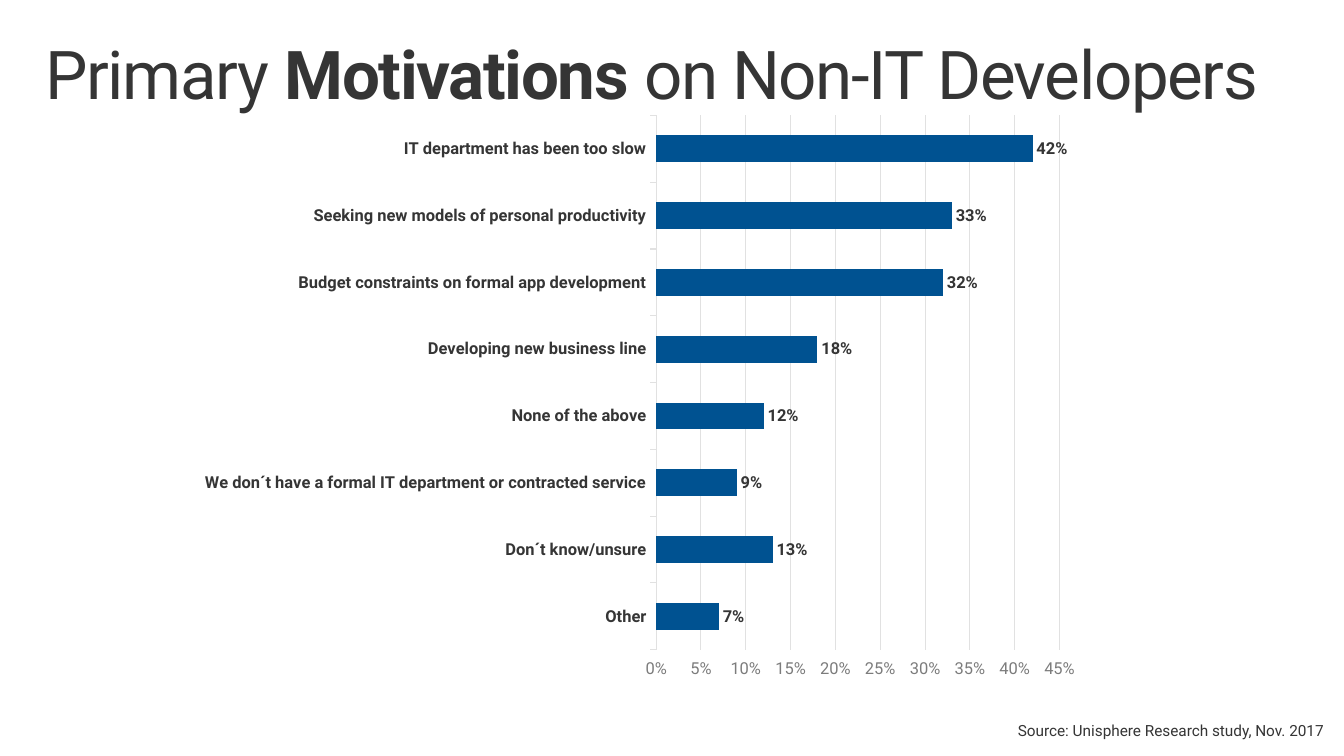
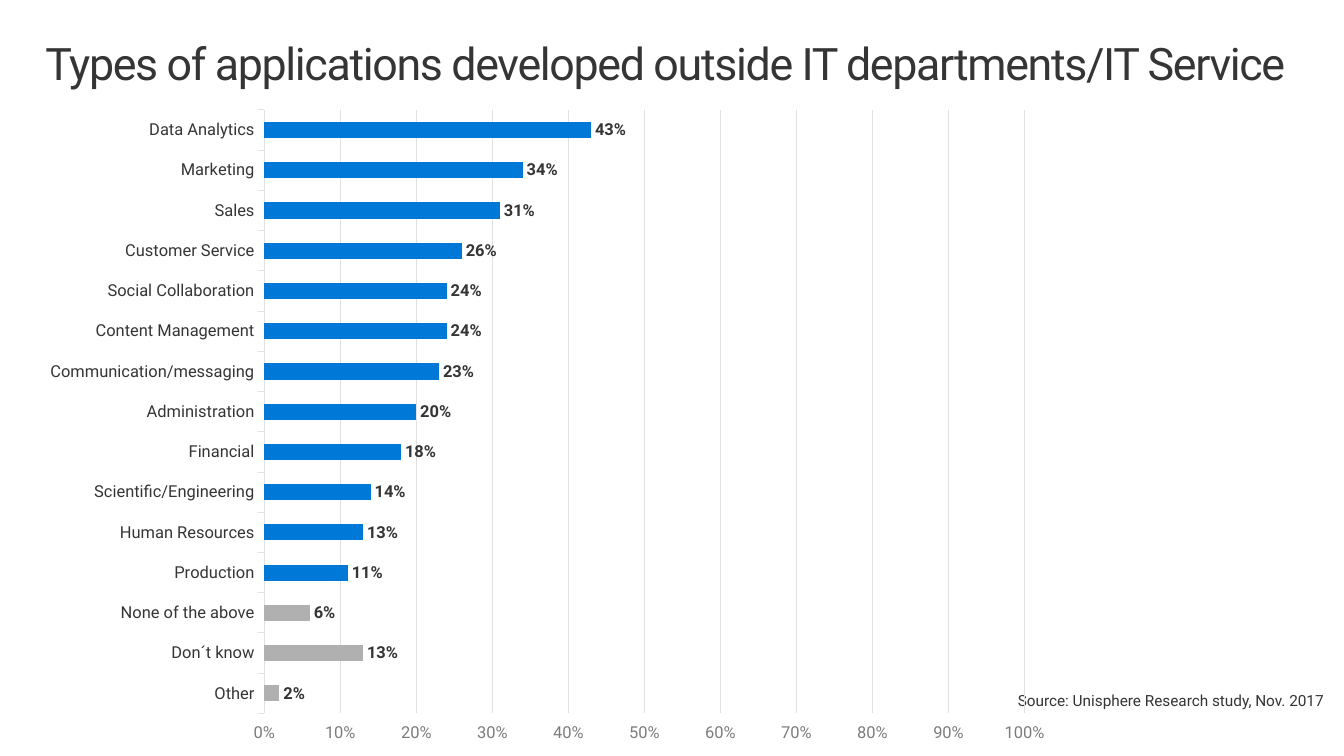
from pptx import Presentation
from pptx.chart.data import CategoryChartData
from pptx.dml.color import RGBColor
from pptx.enum.chart import XL_CHART_TYPE as ChartType
from pptx.enum.chart import XL_LABEL_POSITION as LabelPosition
from pptx.enum.chart import XL_TICK_MARK as TickMark
from pptx.enum.text import MSO_ANCHOR as Anchor
from pptx.enum.text import MSO_AUTO_SIZE as AutoSize
from pptx.enum.text import PP_ALIGN as Align
from pptx.util import Inches, Pt

FONT = "Roboto"
INK = RGBColor(0x35, 0x35, 0x35)
AXIS_GRAY = RGBColor(0x7C, 0x7C, 0x7C)
GRID_GRAY = RGBColor(0xE1, 0xE1, 0xE1)
NAVY = RGBColor(0x00, 0x52, 0x91)
BLUE = RGBColor(0x00, 0x78, 0xD7)
OTHER_GRAY = RGBColor(0xB0, 0xB0, 0xB0)

TITLE_BOX = (0.3, 0.32, 13, 1)
SOURCE = "Source: Unisphere Research study, Nov. 2017"

# Answers from top to bottom, in percent
MOTIVATIONS = [
    ("IT department has been too slow", 42),
    ("Seeking new models of personal productivity", 33),
    ("Budget constraints on formal app development", 32),
    ("Developing new business line", 18),
    ("None of the above", 12),
    ("We don´t have a formal IT department or contracted service", 9),
    ("Don´t know/unsure", 13),
    ("Other", 7),
]
APPLICATIONS = [
    ("Data Analytics", 43),
    ("Marketing", 34),
    ("Sales", 31),
    ("Customer Service", 26),
    ("Social Collaboration", 24),
    ("Content Management", 24),
    ("Communication/messaging", 23),
    ("Administration", 20),
    ("Financial", 18),
    ("Scientific/Engineering", 14),
    ("Human Resources", 13),
    ("Production", 11),
    ("None of the above", 6),
    ("Don´t know", 13),
    ("Other", 2),
]


def style_font(font, size, color=INK, bold=False):
    font.name = FONT
    font.size = Pt(size)
    font.color.rgb = color
    font.bold = bold


def set_margins(frame, side, top):
    frame.margin_left = frame.margin_right = Inches(side)
    frame.margin_top = frame.margin_bottom = Inches(top)
    frame.word_wrap = True
    frame.auto_size = AutoSize.NONE


def add_title(slide, parts, size):
    """Fill the title from (text, bold) parts."""
    title = slide.shapes.title
    title.left, title.top, title.width, title.height = map(Inches, TITLE_BOX)
    frame = title.text_frame
    set_margins(frame, 0.16, 0.1)
    frame.vertical_anchor = Anchor.TOP
    heading = frame.paragraphs[0]
    heading.alignment = Align.LEFT
    heading.line_spacing = 0.9
    for text, bold in parts:
        run = heading.add_run()
        run.text = text
        style_font(run.font, size, bold=bold)
        run.font._element.set("spc", "-100")


def add_source(slide, box):
    frame = slide.shapes.add_textbox(*map(Inches, box)).text_frame
    set_margins(frame, 0.2, 0.16)
    frame.vertical_anchor = Anchor.MIDDLE
    frame.text = SOURCE
    citation = frame.paragraphs[0]
    citation.line_spacing = 0.9
    citation.space_after = Pt(6.1)
    style_font(citation.runs[0].font, 11.2)


def add_survey_chart(slide, box, answers, color, axis_max, axis_step,
                     bold_categories=False, gray_count=0):
    """Draw answers as bars; the last gray_count of them are gray."""
    bottom_up = answers[::-1]
    data = CategoryChartData(number_format="0%")
    data.categories = [label for label, _ in bottom_up]
    data.add_series("Series 1", [percent / 100 for _, percent in bottom_up])
    chart = slide.shapes.add_chart(
        ChartType.BAR_CLUSTERED, *map(Inches, box), data).chart
    chart.has_legend = False
    chart.has_title = False
    style_font(chart.font, 10)

    categories = chart.category_axis
    categories.major_tick_mark = TickMark.OUTSIDE
    categories.format.line.color.rgb = GRID_GRAY
    categories.format.line.width = Pt(0.75)
    style_font(categories.tick_labels.font, 12, bold=bold_categories)

    percents = chart.value_axis
    percents.minimum_scale = 0
    percents.maximum_scale = axis_max
    percents.major_unit = axis_step
    percents.major_tick_mark = TickMark.OUTSIDE
    percents.format.line.fill.background()
    percents.has_major_gridlines = True
    grid = percents.major_gridlines.format.line
    grid.color.rgb = GRID_GRAY
    grid.width = Pt(0.75)
    percents.tick_labels.number_format = "0%"
    percents.tick_labels.number_format_is_linked = False
    style_font(percents.tick_labels.font, 12, AXIS_GRAY)

    plot = chart.plots[0]
    plot.gap_width = 150
    plot.vary_by_categories = False
    bars = plot.series[0]
    bars.format.fill.solid()
    bars.format.fill.fore_color.rgb = color
    for index in range(gray_count):
        fill = bars.points[index].format.fill
        fill.solid()
        fill.fore_color.rgb = OTHER_GRAY

    labels = bars.data_labels
    labels.show_value = True
    labels.position = LabelPosition.OUTSIDE_END
    labels.number_format = "0%"
    labels.number_format_is_linked = False
    style_font(labels.font, 12, bold=True)


def add_motivations_slide(prs, layout):
    slide = prs.slides.add_slide(layout)
    add_title(slide, [("Primary ", False), ("Motivations", True),
                      (" on Non-IT Developers", False)], 49)
    add_source(slide, (10.1, 7.15, 3.5, 0.5))
    add_survey_chart(slide, (1.89, 1.05, 9.17, 5.94), MOTIVATIONS, NAVY,
                     0.45, 0.05, bold_categories=True)


def add_applications_slide(prs, layout):
    slide = prs.slides.add_slide(layout)
    add_title(slide, [("Types of applications developed outside "
                       "IT departments/IT Service", False)], 32.6)
    add_source(slide, (10.1, 6.85, 3.5, 0.5))
    add_survey_chart(slide, (0.3, 0.98, 10.48, 6.67), APPLICATIONS, BLUE,
                     1, 0.1, gray_count=3)


def main():
    prs = Presentation()
    prs.slide_width = Inches(13.6)
    prs.slide_height = Inches(7.65)
    title_only = prs.slide_layouts[5]
    add_motivations_slide(prs, title_only)
    add_applications_slide(prs, title_only)
    prs.save("out.pptx")


if __name__ == "__main__":
    main()
